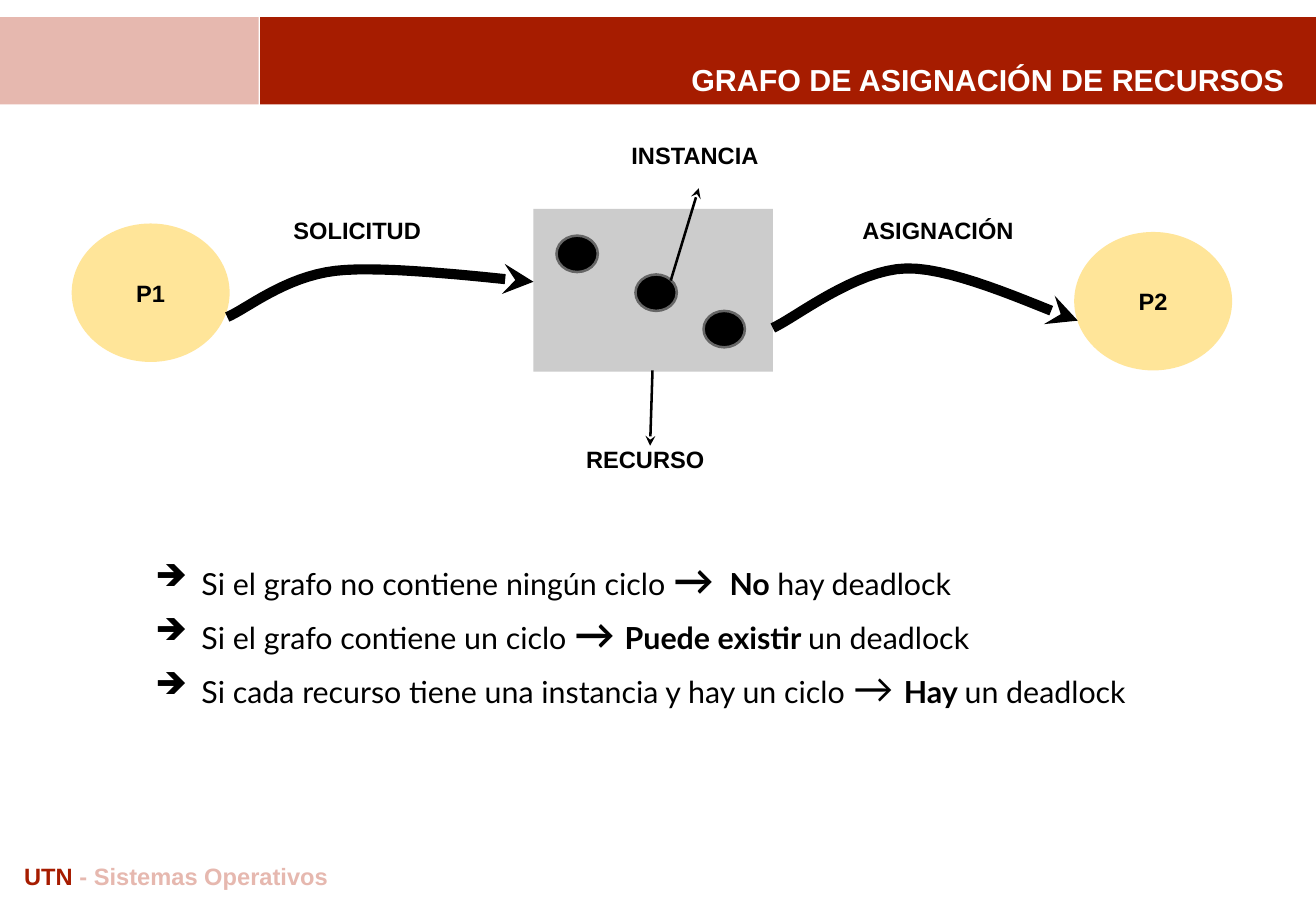
from dataclasses import dataclass

from pptx import Presentation
from pptx.dml.color import RGBColor
from pptx.enum.shapes import MSO_CONNECTOR as CONN, MSO_SHAPE as SHAPE
from pptx.enum.text import MSO_ANCHOR as ANCHOR, PP_ALIGN as ALIGN
from pptx.oxml.ns import qn
from pptx.util import Inches, Pt
from lxml.etree import SubElement


@dataclass(frozen=True)
class Theme:
    """Colours, fonts and type sizes of the slide."""
    red: str = "A61C00"
    pink: str = "E6B8AF"
    yellow: str = "FFE599"
    gray: str = "CCCCCC"
    edge: str = "666666"
    black: str = "000000"
    white: str = "FFFFFF"
    sans: str = "Arial"
    body: str = "Lato"
    large: int = 18
    label: int = 14
    arrow: int = 24


T = Theme()


def rgb(value):
    """Turn a hex string into a colour."""
    return RGBColor.from_string(value)


def add_run(p, text, size=T.label, color=T.black, font=T.sans, bold=True, spacing=0):
    """Add a formatted run to a paragraph."""
    r = p.add_run()
    r.text = text
    r.font.size, r.font.name, r.font.bold = Pt(size), font, bold
    r.font.color.rgb = rgb(color)
    if spacing:
        r.font._element.set("spc", str(spacing))


def set_frame(tf, anchor=ANCHOR.TOP, align=ALIGN.LEFT):
    """Set wrapping, insets and anchor, and return the first paragraph."""
    tf.word_wrap = True
    tf.margin_left = tf.margin_right = tf.margin_top = tf.margin_bottom = Inches(0.1)
    tf.vertical_anchor = anchor
    p = tf.paragraphs[0]
    p.alignment = align
    return p


def add_text(slide, x, y, w, h, text, align=ALIGN.CENTER, **fmt):
    """Add a text box with one run and return its paragraph."""
    sp = slide.shapes.add_textbox(Inches(x), Inches(y), Inches(w), Inches(h))
    p = set_frame(sp.text_frame, align=align)
    add_run(p, text, **fmt)
    return p


def add_block(slide, kind, x, y, w, h, fill, edge=None, text=None):
    """Add a filled preset shape, optionally outlined and labelled."""
    sp = slide.shapes.add_shape(kind, Inches(x), Inches(y), Inches(w), Inches(h))
    sp.shadow.inherit = False
    sp.fill.solid()
    sp.fill.fore_color.rgb = rgb(fill)
    if edge:
        sp.line.color.rgb, sp.line.width = rgb(edge), Pt(1.5)
    else:
        sp.line.fill.background()
    if text:
        add_run(set_frame(sp.text_frame, ANCHOR.MIDDLE, ALIGN.CENTER), text)


def style_arrow(sp, width):
    """Give a line its colour, width and stealth head."""
    sp.line.color.rgb, sp.line.width = rgb(T.black), Pt(width)
    ln = sp._element.spPr.find(qn("a:ln"))
    SubElement(ln, qn("a:tailEnd"), type="stealth")


def add_pointer(slide, x1, y1, x2, y2):
    """Add a thin straight arrow."""
    sp = slide.shapes.add_connector(CONN.STRAIGHT, *map(Inches, (x1, y1, x2, y2)))
    style_arrow(sp, 1.5)
    SubElement(sp._element.spPr, qn("a:effectLst"))


def add_curve(slide, x, y, points, steps=16):
    """Add a thick arrow along chained cubic curves given relative to x, y."""
    points = [(x + dx, y + dy) for dx, dy in points]
    path_points = []
    for i in range(0, len(points) - 1, 3):
        for k in range(1, steps + 1):
            t = k / steps
            weights = ((1 - t) ** 3, 3 * t * (1 - t) ** 2, 3 * t * t * (1 - t), t ** 3)
            path_points.append(tuple(
                Inches(sum(w * pt[axis] for w, pt in zip(weights, points[i:i + 4])))
                for axis in (0, 1)))
    builder = slide.shapes.build_freeform(*map(Inches, points[0]))
    builder.add_line_segments(path_points, close=False)
    sp = builder.convert_to_shape()
    sp.shadow.inherit = False
    sp.fill.background()
    style_arrow(sp, 6)


def add_header(slide, x, y, w, h):
    """Draw the two-colour band with the slide title."""
    add_block(slide, SHAPE.RECTANGLE, x, y, 2.13, h, T.pink)
    add_block(slide, SHAPE.RECTANGLE, x + 2.14, y, w - 2.14, h, T.red)
    title = slide.shapes.title
    title.left, title.top = Inches(x + 1.46), Inches(y + 0.26)
    title.width, title.height = Inches(9.21), Inches(0.5)
    p = set_frame(title.text_frame, ANCHOR.BOTTOM, ALIGN.RIGHT)
    add_run(p, "GRAFO DE ASIGNACIÓN DE RECURSOS", size=T.large, color=T.white)
    slide.shapes._spTree.append(title._element)


def add_graph(slide, x, y):
    """Draw the processes, the resource and the edges between them."""
    add_block(slide, SHAPE.RECTANGLE, x + 3.8, y + 0.66, 1.97, 1.34, T.gray)
    for dx, dy in ((3.99, 0.88), (4.64, 1.2), (5.2, 1.5)):
        add_block(slide, SHAPE.OVAL, x + dx, y + dy, 0.34, 0.3, T.black, edge=T.edge)
    for name, dx, dy in (("P1", 0, 0.78), ("P2", 8.25, 0.85)):
        add_block(slide, SHAPE.OVAL, x + dx, y + dy, 1.3, 1.14, T.yellow, text=name)
    add_pointer(slide, x + 4.78, y + 1.99, x + 4.76, y + 2.61)
    add_pointer(slide, x + 4.93, y + 1.25, x + 5.16, y + 0.49)
    add_curve(slide, x + 1.28, y + 1.55, (
        (0, 0), (0.15, -0.06), (0.47, -0.33), (0.89, -0.38),
        (1.31, -0.43), (2.25, -0.31), (2.52, -0.29)))
    add_curve(slide, x + 5.77, y + 1.64, (
        (0, 0), (0.18, -0.08), (0.68, -0.48), (1.1, -0.49),
        (1.52, -0.5), (2.28, -0.13), (2.51, -0.06)))
    for text, dx, dy, w in (("INSTANCIA", 4.33, 0, 1.6), ("SOLICITUD", 1.55, 0.62, 1.6),
                            ("ASIGNACIÓN", 6.21, 0.62, 1.84), ("RECURSO", 3.8, 2.5, 1.84)):
        add_text(slide, x + dx, y + dy, w, 0.5, text)


def add_conclusions(slide, x, y, w, h):
    """Write the bulleted rules that link cycles and deadlocks."""
    rules = (
        ("Si el grafo no contiene ningún ciclo ", True, 175, "No ", "hay deadlock"),
        ("Si el grafo contiene un ciclo ", True, 0, "Puede existir ", "un deadlock"),
        ("Si cada recurso tiene una instancia y hay un ciclo ", False, 0, "Hay ", "un deadlock"),
    )
    sp = slide.shapes.add_textbox(Inches(x), Inches(y), Inches(w), Inches(h))
    tf = sp.text_frame
    p = set_frame(tf, ANCHOR.MIDDLE)
    for i, (condition, bold_arrow, spacing, verdict, rest) in enumerate(rules):
        p = tf.add_paragraph() if i else p
        p.alignment, p.line_spacing = ALIGN.JUSTIFY, 1.11
        pPr = p._p.get_or_add_pPr()
        pPr.set("marL", str(Inches(0.5)))
        pPr.set("indent", str(Inches(-0.38)))
        SubElement(SubElement(pPr, qn("a:buClr")), qn("a:srgbClr"), val=T.black)
        SubElement(pPr, qn("a:buChar"), char="➔")
        add_run(p, condition, size=T.large, font=T.body, bold=False)
        add_run(p, "→ ", size=T.arrow, font=T.body, bold=bold_arrow, spacing=spacing)
        add_run(p, verdict, size=T.large, font=T.body)
        add_run(p, rest, size=T.large, font=T.body, bold=False)


def add_footer(slide, x, y, w, h):
    """Write the course name at the bottom."""
    p = add_text(slide, x, y, w, h, "UTN ", align=ALIGN.LEFT, color=T.red)
    add_run(p, "- Sistemas Operativos", color=T.pink)


def main():
    """Build and save the slide."""
    prs = Presentation()
    prs.slide_width, prs.slide_height = Inches(10.83), Inches(7.5)
    slide = prs.slides.add_slide(prs.slide_layouts[5])
    add_header(slide, 0, 0.14, 10.83, 0.72)
    add_graph(slide, 0.59, 1.06)
    add_conclusions(slide, 1.06, 3.72, 9.56, 2.95)
    add_footer(slide, 0.1, 7, 10.63, 0.44)
    prs.save("out.pptx")


if __name__ == "__main__":
    main()
